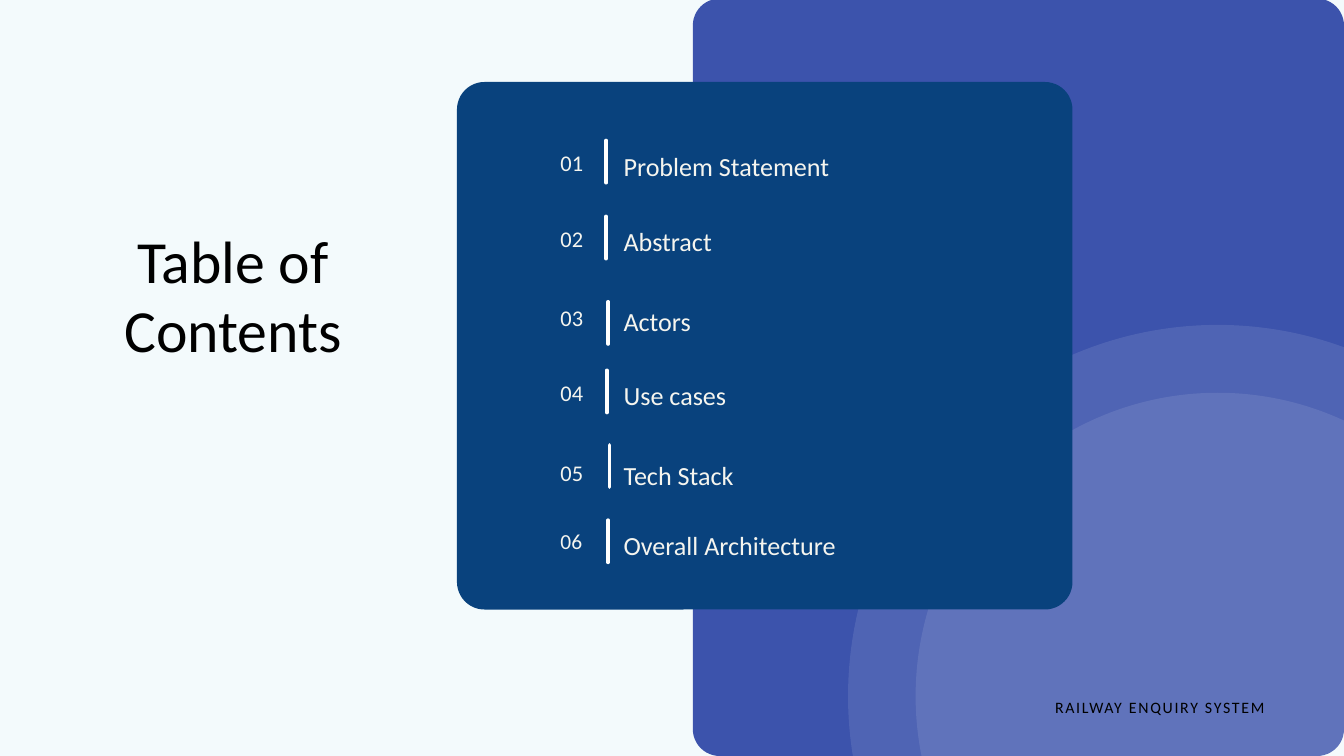
from pptx import Presentation
from pptx.dml.color import RGBColor
from pptx.enum.shapes import MSO_CONNECTOR, MSO_SHAPE
from pptx.enum.text import MSO_AUTO_SIZE, PP_ALIGN
from pptx.oxml.ns import qn
from pptx.util import Inches, Pt
from lxml.etree import SubElement

BACKGROUND = RGBColor(0xF3, 0xFA, 0xFC)
INDIGO = RGBColor(0x3C, 0x53, 0xAC)
NAVY = RGBColor(0x09, 0x42, 0x7D)
CREAM = RGBColor(0xF5, 0xF5, 0xEF)
WHITE = RGBColor(0xFF, 0xFF, 0xFF)
BLACK = RGBColor(0, 0, 0)

FONT = "Calibri"
TITLE = ["Table of", "Contents"]
FOOTER = "RAILWAY ENQUIRY SYSTEM"
# label, text top, divider x, divider top
ITEMS = [
    ("Problem Statement", 2.16, 9.02, 2.09),
    ("Abstract", 3.28, 9.02, 3.22),
    ("Actors", 4.46, 9.05, 4.49),
    ("Use cases", 5.57, 9.03, 5.51),
    ("Tech Stack", 6.76, 9.07, 6.62),
    ("Overall Architecture", 7.8, 9.05, 7.74),
]
PANELS = [
    (10.31, -0.02, 9.69, 11.27, 0.4, INDIGO),
    (6.8, 1.22, 9.16, 7.85, 0.41, NAVY),
]
CIRCLE_CENTER = (18.12, 10.36)
CIRCLE_SIZES = [(11, 11.05), (8.99, 9.03)]
DIVIDER_HEIGHT = 0.63


def add_filled(s, kind, x, y, w, h, color):
    sp = s.shapes.add_shape(kind, Inches(x), Inches(y), Inches(w), Inches(h))
    sp.shadow.inherit = False
    sp.fill.solid()
    sp.fill.fore_color.rgb = color
    sp.line.fill.background()
    return sp


def add_panel(s, x, y, w, h, radius, color):
    sp = add_filled(s, MSO_SHAPE.ROUNDED_RECTANGLE, x, y, w, h, color)
    sp.adjustments[0] = radius / min(w, h)


def add_circle(s, w, h):
    cx, cy = CIRCLE_CENTER
    sp = add_filled(s, MSO_SHAPE.OVAL, cx - w / 2, cy - h / 2, w, h, WHITE)
    color = sp.fill._xPr.find(qn("a:solidFill"))[0]
    SubElement(color, qn("a:alpha")).set("val", "10000")


def add_text(s, x, y, w, h, lines, size, color, leading,
             align=PP_ALIGN.LEFT, tracking=None):
    tf = s.shapes.add_textbox(Inches(x), Inches(y), Inches(w), Inches(h)).text_frame
    tf.margin_left = tf.margin_right = tf.margin_top = tf.margin_bottom = 0
    tf.word_wrap = True
    tf.auto_size = MSO_AUTO_SIZE.SHAPE_TO_FIT_TEXT
    for i, line in enumerate(lines):
        p = tf.add_paragraph() if i else tf.paragraphs[0]
        p.alignment = align
        p.line_spacing = Pt(leading)
        r = p.add_run()
        r.text = line
        r.font.name = FONT
        r.font.size = Pt(size)
        r.font.color.rgb = color
        if tracking:
            r.font._element.set("spc", str(tracking))


def add_divider(s, x, y):
    line = s.shapes.add_connector(MSO_CONNECTOR.STRAIGHT, Inches(x), Inches(y),
                                  Inches(x), Inches(y + DIVIDER_HEIGHT))
    line.line.color.rgb = WHITE
    line.line.width = Pt(3.75)
    line.line._ln.set("cap", "rnd")
    SubElement(line._element.spPr, qn("a:effectLst"))


prs = Presentation()
prs.slide_width, prs.slide_height = Inches(20), Inches(11.25)
s = prs.slides.add_slide(prs.slide_layouts[6])
s.background.fill.solid()
s.background.fill.fore_color.rgb = BACKGROUND

back_panel, contents_panel = PANELS
add_panel(s, *back_panel)
for size in CIRCLE_SIZES:
    add_circle(s, *size)
add_panel(s, *contents_panel)

for n, (label, top, divider_x, divider_y) in enumerate(ITEMS, 1):
    number_size = 23 if n == len(ITEMS) else 24
    add_text(s, 8.34, top, 0.44, 0.43, [f"{n:02}"], number_size, CREAM, number_size * 1.4)
    add_text(s, 9.28, top, 6.19, 0.51, [label], 28, CREAM, 39.2)
    add_divider(s, divider_x, divider_y)

add_text(s, 1.12, 3.35, 4.69, 2.07, TITLE, 64, BLACK, 74.9, PP_ALIGN.CENTER)
add_text(s, 15.7, 10.33, 3.73, 0.31, [FOOTER], 17, BLACK, 23.8, tracking=180)

prs.save("out.pptx")
